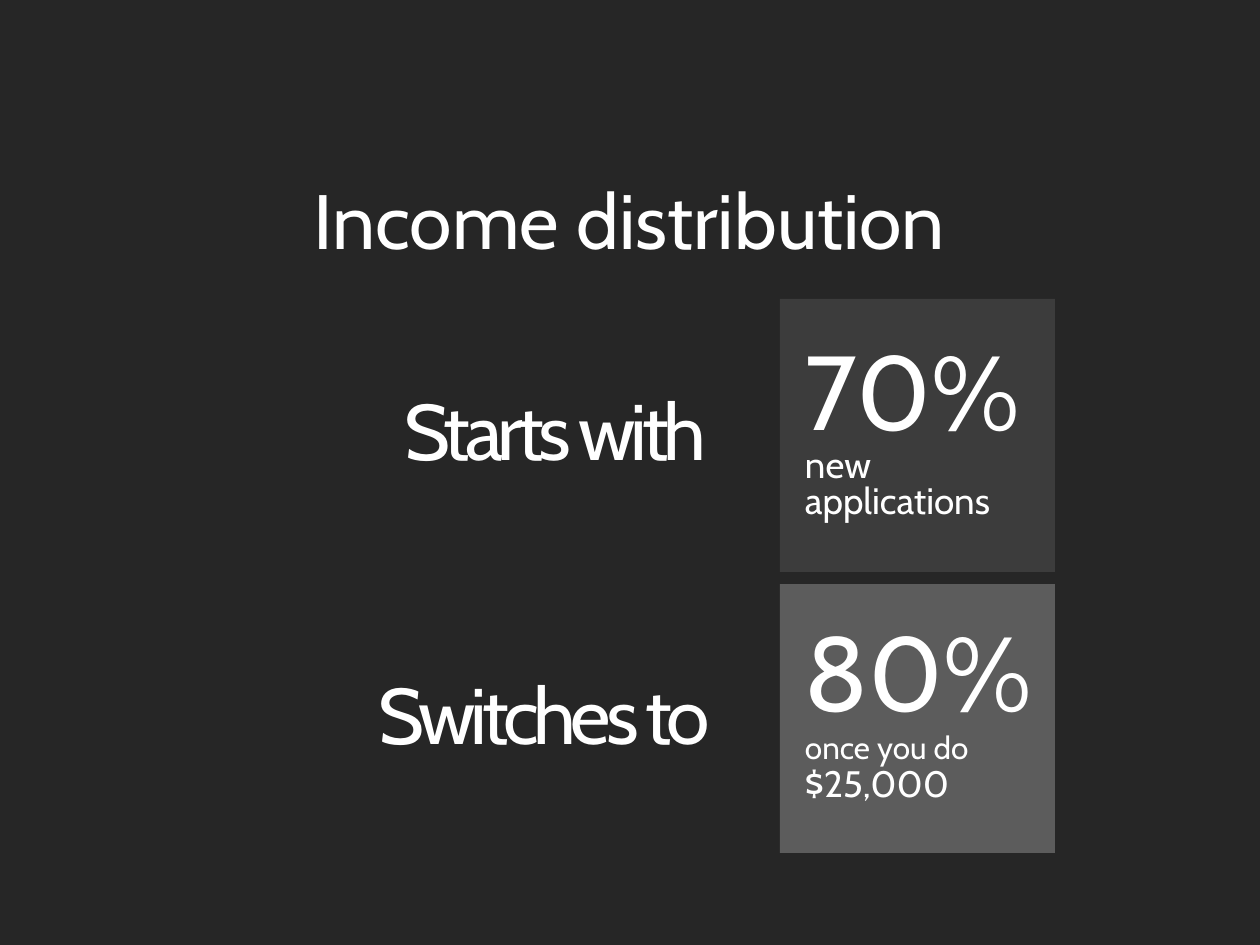
"""Build the income distribution slide."""
import pptx
import pptx.dml.color
import pptx.enum.shapes
import pptx.enum.text
import pptx.util

PX = 914400 / 126
FONT, WHITE, BACKGROUND = "Cabin", "FFFFFF", "262626"
ALIGN = pptx.enum.text.PP_ALIGN

TITLE = ("Income distribution", (59, 163, 1134, 112))
TILE_LEFT, TILE_WIDTH = 780, 275
ROWS = [
    {
        "label": "Starts with", "label_box": (204, 368, 508, 122),
        "tile_top": 299, "tile_height": 273, "fill": "3C3C3C",
        "tile_text": [(0.8, [("70%", 60)]), (0.8, [("new applications", 21)])],
    },
    {
        "label": "Switches to", "label_box": (88, 653, 628, 120),
        "tile_top": 584, "tile_height": 269, "fill": "5C5C5C",
        "tile_text": [(0.8, [("80%", 60)]),
                      (0.9, [("once you do ", 18), ("$25,000", 21)])],
    },
]


def emu(*lengths):
    return [pptx.util.Emu(round(length * PX)) for length in lengths]


def color(value):
    return pptx.dml.color.RGBColor.from_string(value)


def write(shape, paragraphs, align, left_inset, letter_spacing=0):
    frame = shape.text_frame
    frame.word_wrap = True
    frame.vertical_anchor = pptx.enum.text.MSO_ANCHOR.MIDDLE
    frame.margin_left, frame.margin_right, frame.margin_top, frame.margin_bottom = emu(
        left_inset, 6, 6, 6)
    for index, (line_spacing, runs) in enumerate(paragraphs):
        paragraph = frame.add_paragraph() if index else frame.paragraphs[0]
        paragraph.alignment = align
        paragraph.line_spacing = line_spacing
        for text, size in runs:
            run = paragraph.add_run()
            run.text = text
            run.font.name = FONT
            run.font.size = pptx.util.Pt(size)
            run.font.color.rgb = color(WHITE)
            if letter_spacing:
                run.font._element.set("spc", str(letter_spacing * 100))


def add_label(slide, text, box, size, align, letter_spacing=0):
    label = slide.shapes.add_textbox(*emu(*box))
    write(label, [(1.0, [(text, size)])], align, 13, letter_spacing)


def add_tile(slide, row):
    tile = slide.shapes.add_shape(
        pptx.enum.shapes.MSO_SHAPE.RECTANGLE,
        *emu(TILE_LEFT, row["tile_top"], TILE_WIDTH, row["tile_height"]))
    tile.shadow.inherit = False
    tile.fill.solid()
    tile.fill.fore_color.rgb = color(row["fill"])
    tile.line.fill.background()
    write(tile, row["tile_text"], ALIGN.LEFT, 25)


def main():
    presentation = pptx.Presentation()
    presentation.slide_width, presentation.slide_height = emu(1260, 945)
    slide = presentation.slides.add_slide(presentation.slide_layouts[6])
    slide.background.fill.solid()
    slide.background.fill.fore_color.rgb = color(BACKGROUND)
    add_label(slide, *TITLE, 44, ALIGN.CENTER)
    for row in ROWS:
        add_label(slide, row["label"], row["label_box"], 45, ALIGN.RIGHT, -3)
        add_tile(slide, row)
    presentation.save("out.pptx")


if __name__ == "__main__":
    main()
